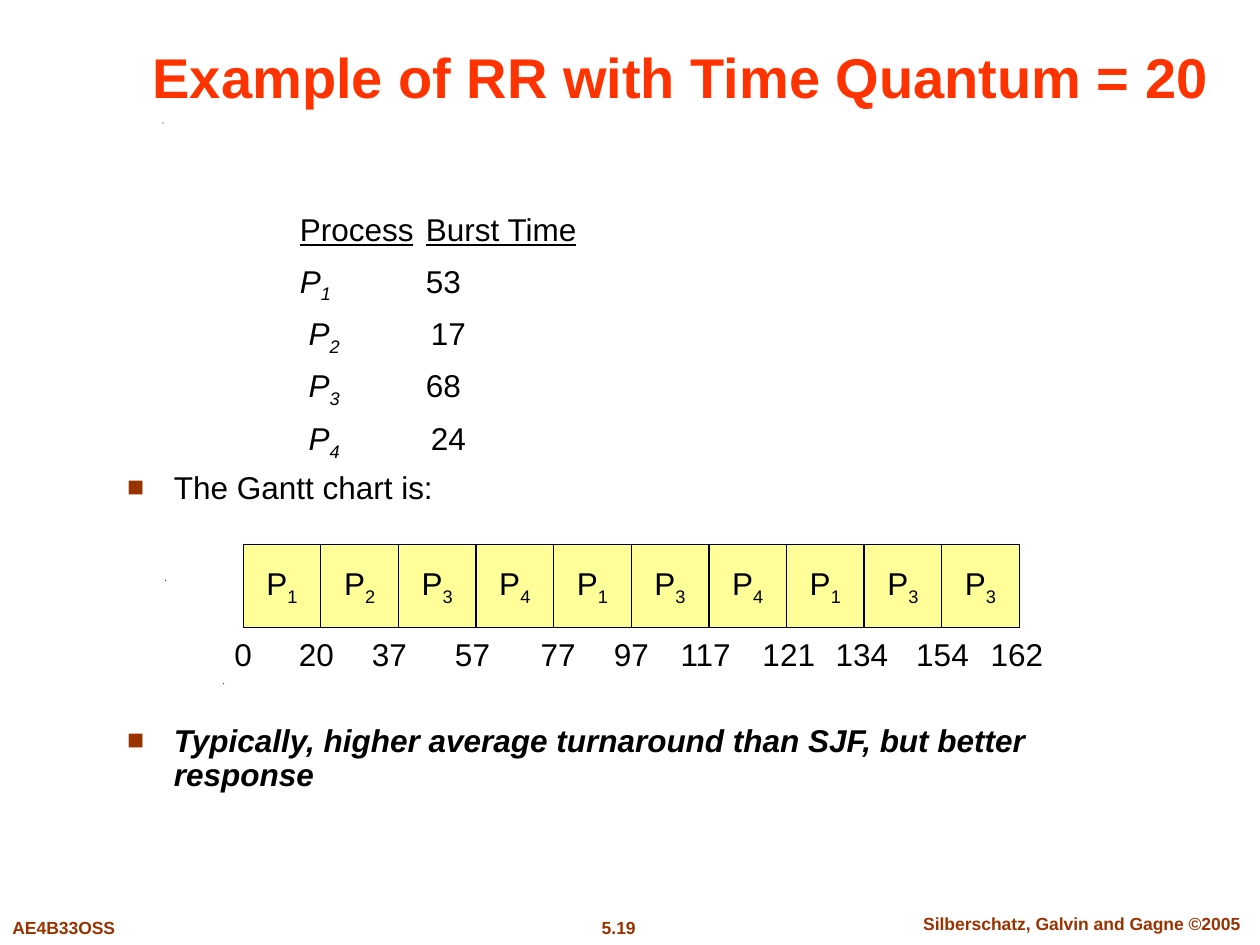
from lxml import etree
from pptx import Presentation
from pptx.dml.color import RGBColor
from pptx.enum.shapes import MSO_SHAPE
from pptx.enum.text import MSO_ANCHOR, MSO_AUTO_SIZE, PP_ALIGN
from pptx.oxml.ns import qn
from pptx.util import Inches, Pt

RECTANGLE = MSO_SHAPE.RECTANGLE
TOP, MIDDLE, BOTTOM = MSO_ANCHOR.TOP, MSO_ANCHOR.MIDDLE, MSO_ANCHOR.BOTTOM
LEFT, CENTER = PP_ALIGN.LEFT, PP_ALIGN.CENTER
FIXED = MSO_AUTO_SIZE.NONE

THEME = {
    "font": "Arial",
    "title": RGBColor(0xFF, 0x33, 0x00),
    "accent": RGBColor(0x99, 0x33, 0x00),
    "ink": RGBColor(0x00, 0x00, 0x00),
    "cell": RGBColor(0xFF, 0xFF, 0x99),
    "title_size": Pt(32),
    "body_size": Pt(18),
    "footer_size": Pt(10),
}


def write(paragraph, pieces, size="body_size", color="ink", align=LEFT, before=0):
    paragraph.alignment = align
    paragraph.space_before = Pt(before)
    for text, marks in pieces:
        run = paragraph.add_run()
        run.text = text
        font = run.font
        font.name, font.size = THEME["font"], THEME[size]
        font.color.rgb = THEME[color]
        font.bold, font.italic = "b" in marks, "i" in marks
        font.underline = "u" in marks
        if "s" in marks:
            run._r.get_or_add_rPr().set("baseline", "-25000")


def add_label(shapes, left, top, width, height, wrap=False):
    label = shapes.add_textbox(Inches(left), Inches(top), Inches(width), Inches(height))
    label.text_frame.word_wrap = wrap
    return label.text_frame


prs = Presentation()
prs.slide_width, prs.slide_height = Inches(10), Inches(7.5)
slide = prs.slides.add_slide(prs.slide_layouts[1])

for x, y in [(1.77, 5.42), (1.31, 4.6), (1.29, 0.97)]:
    outline = slide.shapes.build_freeform(Inches(x), Inches(y + 0.01))
    outline.add_line_segments([(Inches(x), Inches(y)), (Inches(x + 0.01), Inches(y + 0.01))])
    speck = outline.convert_to_shape()
    speck.shadow.inherit = False
    speck.fill.solid()
    speck.fill.fore_color.rgb = THEME["ink"]
    speck.line.fill.background()

footers = [
    ("5.19", 4.42, 7.23, 0.98, CENTER),
    ("Silberschatz, Galvin and Gagne ©2005", 7.1, 7.2, 2.97, CENTER),
    ("AE4B33OSS", 0, 7.23, 1.2, LEFT),
]
for text, left, top, width, align in footers:
    footer = add_label(slide.shapes, left, top, width, 0.27, wrap=True)
    write(footer.paragraphs[0], [(text, "b")], "footer_size", "accent", align, 6.2)

title = slide.shapes.title
title.left, title.top, title.width, title.height = Inches(1), 0, Inches(8.81), Inches(0.92)
title.text_frame.vertical_anchor = BOTTOM
title.text_frame.auto_size = FIXED
write(title.text_frame.paragraphs[0], [("Example of RR with Time Quantum = 20", "b")],
      "title_size", "title", CENTER)

body = slide.placeholders[1]
body.left, body.top, body.width, body.height = Inches(0.9), Inches(1.65), Inches(8.04), Inches(4.9)
body.text_frame.vertical_anchor = TOP
body.text_frame.auto_size = FIXED

process_rows = [
    [("Process", "u"), ("\t", ""), ("Burst Time", "u")],
    [("P", "i"), ("1\t", "is"), ("53", "")],
    [(" ", ""), ("P", "i"), ("2\t ", "is"), ("17", "")],
    [(" ", ""), ("P", "i"), ("3\t", "is"), ("68", "")],
    [(" ", ""), ("P", "i"), ("4\t ", "is"), ("24", "")],
]
points = [
    ([("The Gantt chart is:", "")], 7.9),
    ([("Typically, higher average turnaround than SJF, but better response", "bi")], 125),
]
lines = [(row, 7.9, False) for row in process_rows]
lines += [(pieces, before, True) for pieces, before in points]
for index, (pieces, before, bulleted) in enumerate(lines):
    line = body.text_frame.paragraphs[0] if index == 0 else body.text_frame.add_paragraph()
    write(line, pieces, before=before)
    line.line_spacing = 0.9
    props = line._p.get_or_add_pPr()
    props.set("marL", str(Inches(0.38 if bulleted else 1.38)))
    props.set("indent", str(Inches(-0.37 if bulleted else 0)))
    props.set("defTabSz", str(Inches(1)))
    if bulleted:
        bullet_color = etree.SubElement(props, qn("a:buClr"))
        etree.SubElement(bullet_color, qn("a:srgbClr"), val=str(THEME["accent"]))
        etree.SubElement(props, qn("a:buSzPct"), val="90000")
        etree.SubElement(props, qn("a:buFont"), typeface=THEME["font"])
        etree.SubElement(props, qn("a:buChar"), char="■")
    else:
        etree.SubElement(props, qn("a:buNone"))

gantt = slide.shapes.add_group_shape().shapes
gantt_left, gantt_top, slot_width, slot_height = 1.93, 4.32, 0.616, 0.66
for column, process in enumerate("1234134133"):
    slot = gantt.add_shape(RECTANGLE, Inches(gantt_left + column * slot_width),
                           Inches(gantt_top), Inches(slot_width), Inches(slot_height))
    slot.shadow.inherit = False
    slot.fill.solid()
    slot.fill.fore_color.rgb = THEME["cell"]
    slot.line.color.rgb = THEME["ink"]
    slot.line.width = Pt(0.75)
    slot.text_frame.word_wrap = False
    slot.text_frame.vertical_anchor = MIDDLE
    write(slot.text_frame.paragraphs[0], [("P", ""), (process, "s")], align=CENTER)

switch_centers = {
    "0": 1.93, "20": 2.51, "37": 3.09, "57": 3.75, "77": 4.43, "97": 5.01,
    "117": 5.6, "121": 6.26, "134": 6.84, "154": 7.48, "162": 8.07,
}
for time, center in switch_centers.items():
    width = 0.2 + 0.14 * len(time)
    tick = add_label(gantt, center - width / 2, gantt_top + slot_height + 0.01, width, 0.4)
    tick.vertical_anchor = MIDDLE
    write(tick.paragraphs[0], [(time, "")], align=CENTER, before=11.2)

prs.save("out.pptx")
